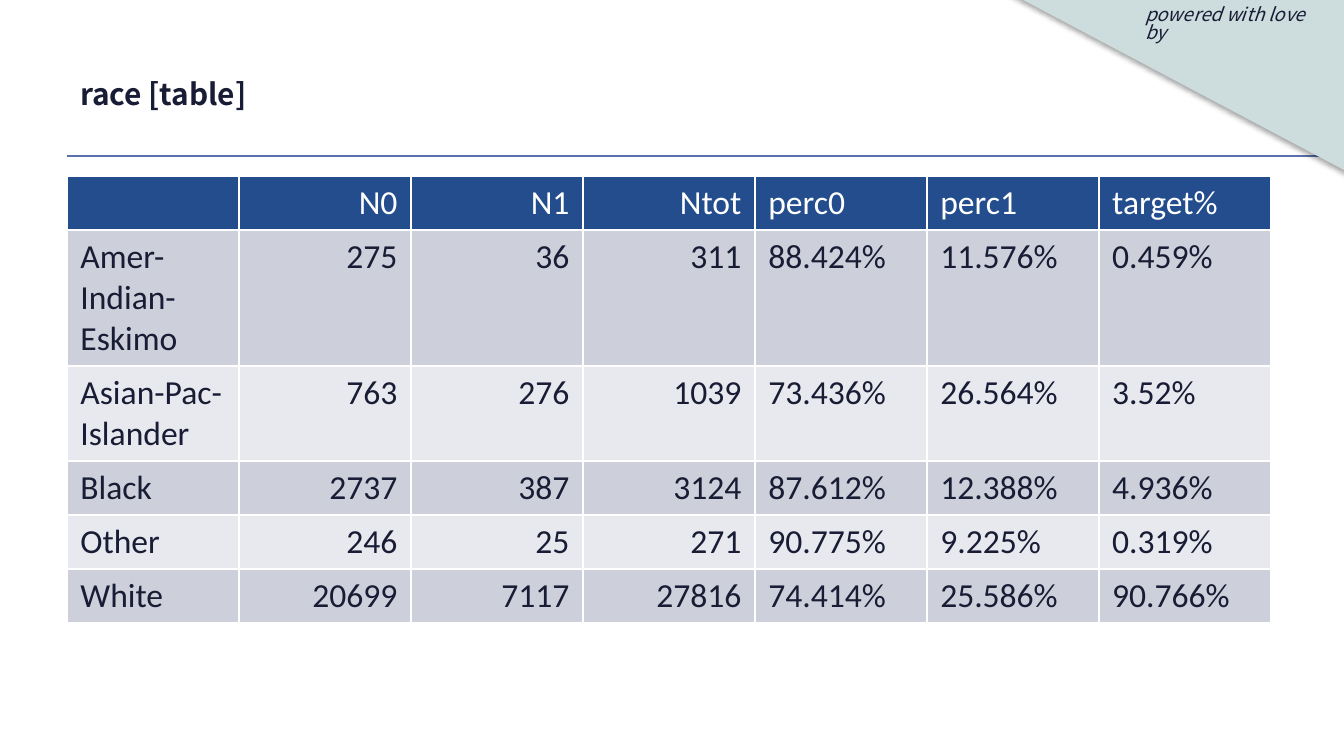
from lxml import etree
from pptx import Presentation
from pptx.dml.color import RGBColor
from pptx.enum.shapes import MSO_CONNECTOR, MSO_SHAPE
from pptx.enum.text import MSO_ANCHOR, PP_ALIGN
from pptx.oxml import parse_xml
from pptx.oxml.ns import nsdecls, qn
from pptx.util import Emu, Pt

STRAIGHT = MSO_CONNECTOR.STRAIGHT
RIGHT_TRIANGLE = MSO_SHAPE.RIGHT_TRIANGLE
TOP, MIDDLE = MSO_ANCHOR.TOP, MSO_ANCHOR.MIDDLE
LEFT, RIGHT = PP_ALIGN.LEFT, PP_ALIGN.RIGHT

EMU_PER_PX = 914400 / 134.4
INK, WHITE, RULE, CORNER = "181C34", "FFFFFF", "5A6FAE", "CDDDDE"
HEADER, BANDS = "234D8C", ("CDD0DA", "E8E9EE")
HEADING_FONT, TABLE_FONT = "Noto Sans CJK TC", "Calibri"

COLUMN_WIDTH = 172
ROW_HEIGHTS = (54, 136, 95, 54, 54, 54)
NUMBER_COLUMNS = (1, 2, 3)
RACE_ROWS = (
    ("", "N0", "N1", "Ntot", "perc0", "perc1", "target%"),
    ("Amer-Indian-Eskimo", "275", "36", "311", "88.424%", "11.576%", "0.459%"),
    ("Asian-Pac-Islander", "763", "276", "1039", "73.436%", "26.564%", "3.52%"),
    ("Black", "2737", "387", "3124", "87.612%", "12.388%", "4.936%"),
    ("Other", "246", "25", "271", "90.775%", "9.225%", "0.319%"),
    ("White", "20699", "7117", "27816", "74.414%", "25.586%", "90.766%"),
)


def px(*values):
    return [Emu(round(v * EMU_PER_PX)) for v in values]


def rgb(color):
    return RGBColor.from_string(color)


class SlideBuilder:
    """Draws styled elements on the current slide."""

    def __init__(self, slide):
        self.s = slide

    def style(self, p, font, size, color, bold=False, italic=False):
        for r in p.runs:
            r.font.name = font
            r.font.size = Pt(size)
            r.font.bold = bold
            r.font.italic = italic
            r.font.color.rgb = rgb(color)

    def rule(self, x1, y1, x2, y2):
        line = self.s.shapes.add_connector(STRAIGHT, *px(x1, y1, x2, y2))
        line.line.color.rgb = rgb(RULE)
        line.line.width = Pt(0.75)
        etree.SubElement(line._element.spPr, qn("a:effectLst"))

    def corner(self, x, y, w, h):
        sp = self.s.shapes.add_shape(RIGHT_TRIANGLE, *px(x, y, w, h))
        sp.rotation = 180
        sp.fill.solid()
        sp.fill.fore_color.rgb = rgb(CORNER)
        sp.line.fill.background()
        sp.shadow.inherit = False
        effects = sp._element.spPr.find(qn("a:effectLst"))
        effects.append(parse_xml(
            f'<a:outerShdw {nsdecls("a")} blurRad="{Pt(3.1)}" dist="{Pt(1.8)}" '
            'dir="5400000" rotWithShape="0"><a:srgbClr val="000000">'
            '<a:alpha val="35000"/></a:srgbClr></a:outerShdw>'))

    def text(self, x, y, w, h, text, size, anchor=TOP, spacing=1.0, **emphasis):
        tf = self.s.shapes.add_textbox(*px(x, y, w, h)).text_frame
        tf.word_wrap = True
        tf.vertical_anchor = anchor
        tf.text = text
        p = tf.paragraphs[0]
        p.line_spacing = spacing
        self.style(p, HEADING_FONT, size, INK, **emphasis)

    def borders(self, cell):
        tc_pr = cell._tc.get_or_add_tcPr()
        for side in "LRTB":
            tc_pr.append(parse_xml(
                f'<a:ln{side} {nsdecls("a")} w="{Pt(1)}"><a:solidFill>'
                f'<a:srgbClr val="{WHITE}"/></a:solidFill></a:ln{side}>'))

    def cell(self, cell, text, align, fill, color):
        self.borders(cell)
        cell.fill.solid()
        cell.fill.fore_color.rgb = rgb(fill)
        cell.text = text
        p = cell.text_frame.paragraphs[0]
        p.alignment = align
        self.style(p, TABLE_FONT, 18, color)

    def table(self, x, y, rows):
        size = px(x, y, COLUMN_WIDTH * len(rows[0]), sum(ROW_HEIGHTS))
        table = self.s.shapes.add_table(len(rows), len(rows[0]), *size).table
        for column in table.columns:
            column.width = px(COLUMN_WIDTH)[0]
        for i, values in enumerate(rows):
            table.rows[i].height = px(ROW_HEIGHTS[i])[0]
            fill, color = (BANDS[(i - 1) % 2], INK) if i else (HEADER, WHITE)
            for j, value in enumerate(values):
                align = RIGHT if j in NUMBER_COLUMNS else LEFT
                self.cell(table.cell(i, j), value, align, fill, color)


def main():
    prs = Presentation()
    prs.slide_width, prs.slide_height = px(1344, 756)
    b = SlideBuilder(prs.slides.add_slide(prs.slide_layouts[6]))
    b.rule(67, 156, 1344, 156)
    b.corner(995, -15, 366, 194)
    b.text(1132, 1, 211, 36, "powered with love by", 10, spacing=0.8, italic=True)
    b.text(67, 31, 978, 126, "race [table]", 16, anchor=MIDDLE, bold=True)
    b.table(67, 176, RACE_ROWS)
    prs.save("out.pptx")


if __name__ == "__main__":
    main()
